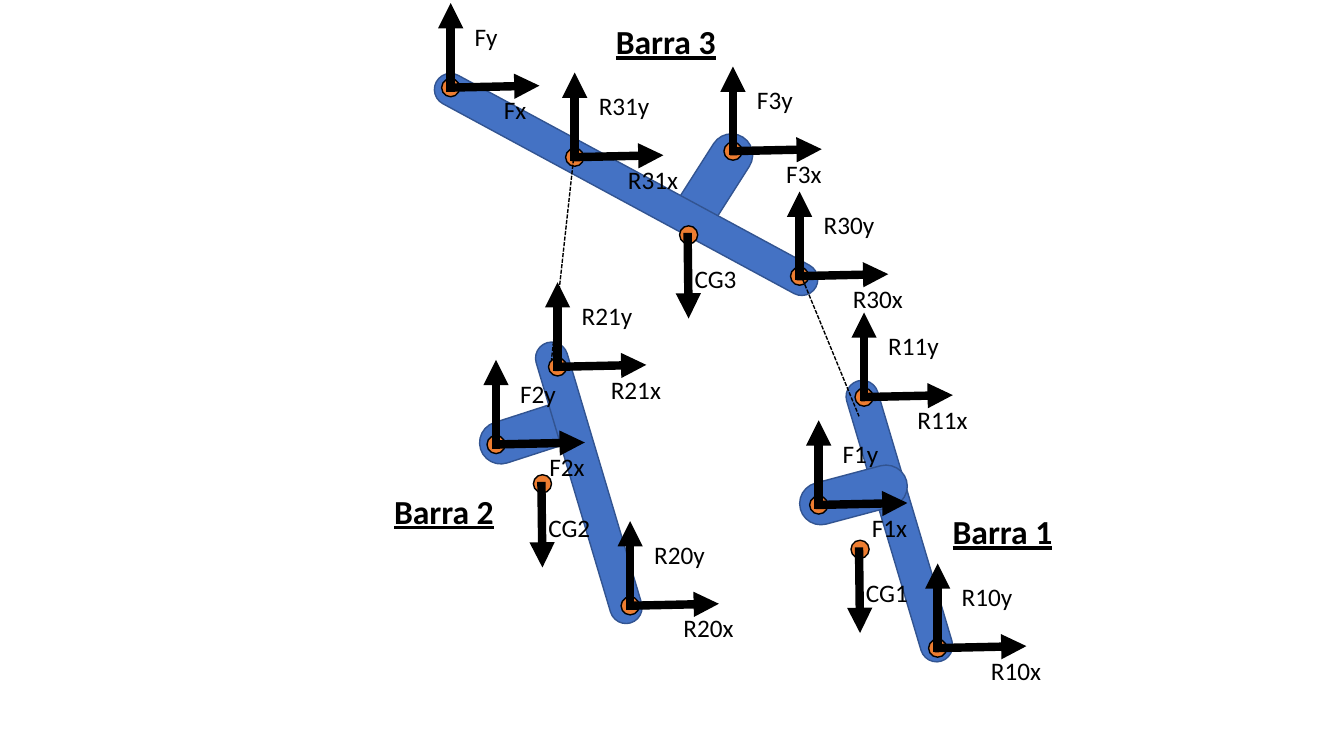
"""Free-body diagrams of three linked bars, with forces at every joint."""
from lxml import etree
from pptx import Presentation
from pptx.dml.color import RGBColor
from pptx.enum.dml import MSO_LINE
from pptx.enum.shapes import MSO_CONNECTOR, MSO_SHAPE
from pptx.enum.text import MSO_AUTO_SIZE
from pptx.oxml.ns import qn
from pptx.util import Pt

PX = 9144
STRAIGHT = MSO_CONNECTOR.STRAIGHT
ROUND, OVAL = MSO_SHAPE.ROUNDED_RECTANGLE, MSO_SHAPE.OVAL
GROW = MSO_AUTO_SIZE.SHAPE_TO_FIT_TEXT
DASH = MSO_LINE.SQUARE_DOT
HUES = {"bar": "4472C4", "edge": "325491", "pin": "ED7D31", "ink": "000000"}
WIDTHS = {2: 43, 3: 56, 4: 71}
FONT = "Calibri"


def hue(name):
    return RGBColor.from_string(HUES[name])


def px(*nums):
    return [num * PX for num in nums]


def solid(host, kind, box, fill, edge):
    shape = host.add_shape(kind, *px(*box))
    shape.shadow.inherit = False
    shape.fill.solid()
    shape.fill.fore_color.rgb = hue(fill)
    shape.line.color.rgb = hue(edge)
    shape.line.width = Pt(1)
    return shape


def bar(host, box, turn):
    shape = solid(host, ROUND, box, "bar", "edge")
    shape.adjustments[0] = 0.5
    shape.rotation = turn


def line(host, ends, width=1, dash=None, head=False):
    link = host.add_connector(STRAIGHT, *px(*ends))
    link.line.color.rgb = hue("ink")
    link.line.width = Pt(width)
    if dash:
        link.line.dash_style = dash
    if head:
        etree.SubElement(link.line._ln, qn("a:tailEnd"), type="triangle")
    etree.SubElement(link._element.spPr, qn("a:effectLst"))


def write(host, text, box, size=18, bold=False, under=False):
    frame = host.add_textbox(*px(*box)).text_frame
    frame.word_wrap = False
    frame.auto_size = GROW
    run = frame.paragraphs[0].add_run()
    run.text = text
    font = run.font
    font.name, font.size = FONT, Pt(size)
    font.bold, font.underline = bold, under
    font.color.rgb = hue("ink")


def title(host, text, x, y):
    write(host, text, (x, y, 120, 50), size=24, bold=True, under=True)


def pin(host, x, y):
    solid(host, OVAL, (x - 9, y - 9, 18, 18), "pin", "ink")


def force(host, dx, dy, to_x, to_y):
    line(host, (dx, dy, to_x, to_y), width=6, head=True)


def joint(host, name, x, y):
    group = host.add_group_shape().shapes
    pin(group, x, y)
    force(group, x - 3, y, x + 88, y - 2)
    force(group, x, y + 4, x, y - 84)
    wide = WIDTHS[len(name) + 1]
    write(group, name + "y", (x + 14, y - 71, wide, 40))
    write(group, name + "x", (x + 43, y + 2, wide, 40))


def weight(host, name, x, y):
    group = host.add_group_shape().shapes
    pin(group, x, y)
    force(group, x - 1, y - 2, x, y + 83)
    write(group, name, (x - 4, y + 23, 62, 40))


def first(host):
    group = host.add_group_shape().shapes
    bar(group, (747, 501, 290, 32), 73.4)
    joint(group, "R10", 930, 643)
    title(group, "Barra 1", 935, 502)
    joint(group, "R11", 857, 394)
    bar(group, (792, 470, 109, 42), 345.1)
    joint(group, "F1", 812, 501)
    weight(group, "CG1", 853, 545)


def main():
    deck = Presentation()
    deck.slide_width, deck.slide_height = px(1333, 750)
    host = deck.slides.add_slide(deck.slide_layouts[6]).shapes
    bar(host, (474, 408, 109, 42), 342.1)
    bar(host, (653, 161, 109, 42), 302.5)
    bar(host, (407, 167, 428, 32), 28.4)
    bar(host, (439, 463, 290, 32), 73.4)
    title(host, "Barra 2", 381, 482)
    title(host, "Barra 3", 601, 16)
    for name, x, y in (
        ("R20", 625, 601), ("R21", 553, 364), ("R30", 793, 274),
        ("R31", 570, 156), ("F", 447, 87), ("F3", 727, 150),
        ("F2", 492, 441),
    ):
        joint(host, name, x, y)
    weight(host, "CG3", 683, 233)
    weight(host, "CG2", 538, 480)
    first(host)
    line(host, (570, 147, 547, 357), dash=DASH)
    line(host, (794, 272, 852, 413), dash=DASH)
    deck.save("out.pptx")


if __name__ == "__main__":
    main()
